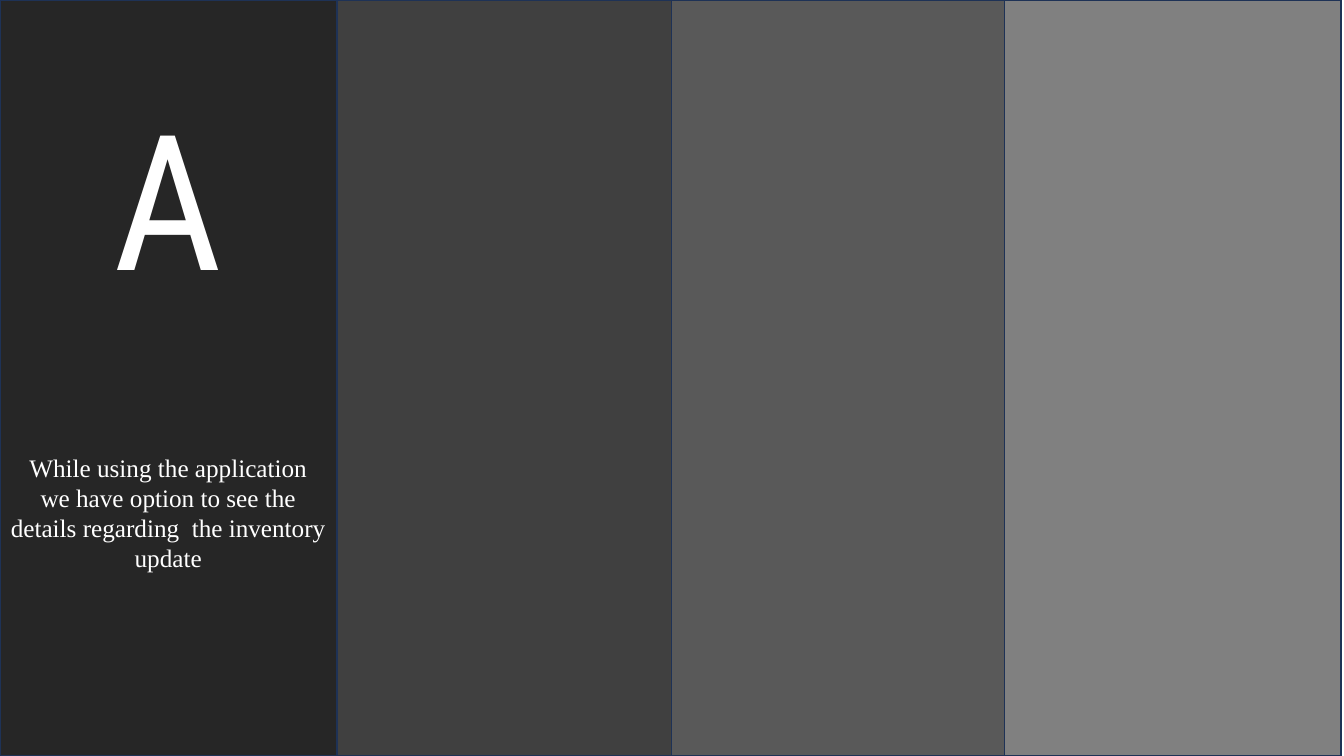
"""Build a slide of four grey panels, the first with a large letter and a caption."""
from pptx import Presentation
from pptx.dml.color import RGBColor
from pptx.enum.shapes import MSO_SHAPE
from pptx.enum.text import MSO_ANCHOR, PP_ALIGN
from pptx.util import Cm, Pt

WHITE = RGBColor(0xFF, 0xFF, 0xFF)
NAVY = RGBColor(0x1E, 0x32, 0x56)
CHARCOAL = RGBColor(0x26, 0x26, 0x26)
DARK_GREY = RGBColor(0x40, 0x40, 0x40)
MID_GREY = RGBColor(0x59, 0x59, 0x59)
LIGHT_GREY = RGBColor(0x80, 0x80, 0x80)

LETTER_FONT = "Roboto Condensed"
CAPTION_FONT = "Times New Roman"

presentation = Presentation()
presentation.slide_width = Cm(33.87)
presentation.slide_height = Cm(19.05)
slide = presentation.slides.add_slide(presentation.slide_layouts[6])

panels = []
for left, width, color in [
    (0, 8.48, CHARCOAL),
    (8.51, 8.61, DARK_GREY),
    (16.92, 8.48, MID_GREY),
    (25.32, 8.48, LIGHT_GREY),
]:
    panel = slide.shapes.add_shape(
        MSO_SHAPE.RECTANGLE, Cm(left), 0, Cm(width), presentation.slide_height
    )
    panel.shadow.inherit = False
    panel.fill.solid()
    panel.fill.fore_color.rgb = color
    panel.line.color.rgb = NAVY
    panel.line.width = Pt(1)
    panels.append(panel)

text_frame = panels[0].text_frame
text_frame.word_wrap = True
text_frame.vertical_anchor = MSO_ANCHOR.TOP
text_frame.margin_top = Cm(2.06)
text_frame.text = (
    "A\n"
    "While using the application\n"
    "we have option to see the details regarding  the inventory update"
)
letter, *caption = text_frame.paragraphs
for paragraph in text_frame.paragraphs:
    paragraph.alignment = PP_ALIGN.CENTER
    font = paragraph.runs[0].font
    font.name = CAPTION_FONT
    font.size = Pt(18)
    font.color.rgb = WHITE
letter.runs[0].font.name = LETTER_FONT
letter.runs[0].font.size = Pt(135)
for paragraph in caption:
    paragraph.line_spacing = Pt(21.4)
caption[0].space_before = Pt(103)

presentation.save("out.pptx")
